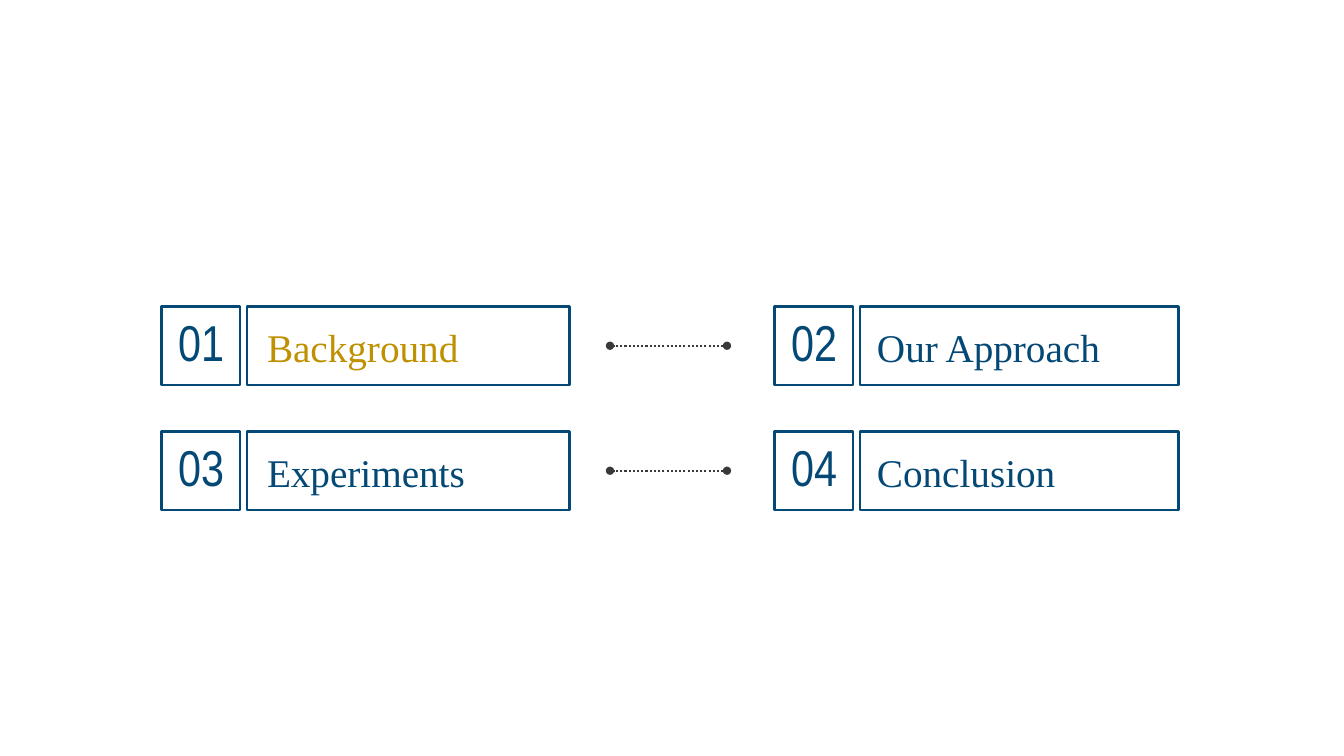
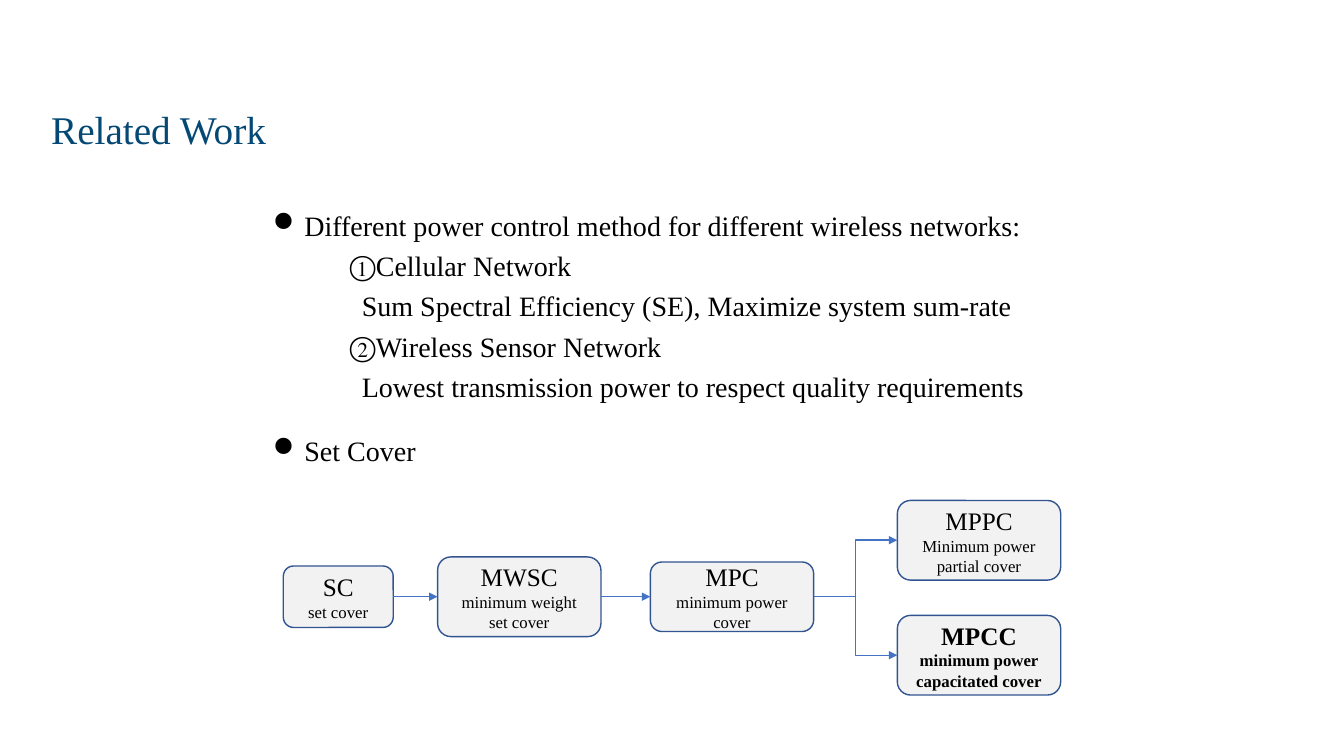
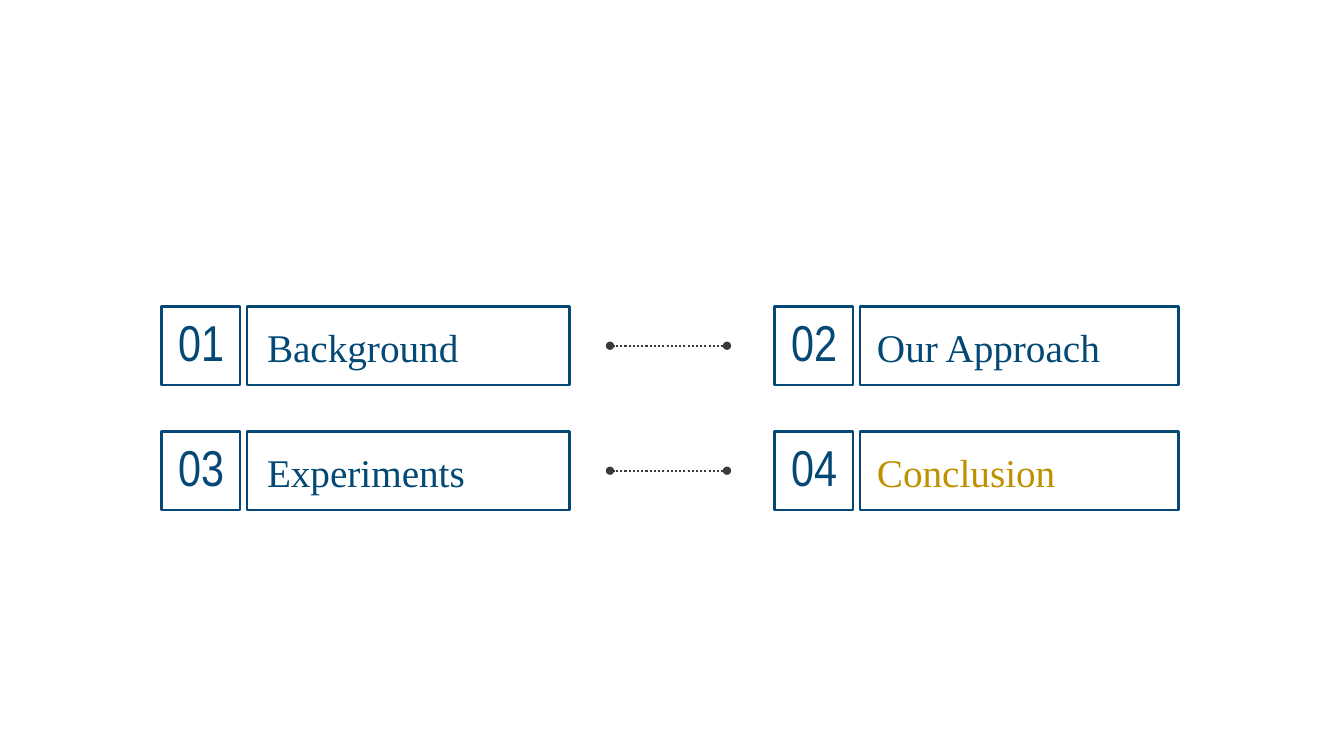
import dataclasses

import pptx
import pptx.dml.color
import pptx.enum.dml
import pptx.enum.shapes
import pptx.enum.text
import pptx.oxml.ns
import pptx.util
from lxml import etree

EMU_PER_PX = 9144  # 100 px to the inch
SLIDE_SIZE = (1333, 750)


@dataclasses.dataclass(frozen=True)
class Theme:
    navy: str = "044875"
    gold: str = "BF9000"
    charcoal: str = "3B3838"
    black: str = "000000"
    node_fill: str = "F2F2F2"
    node_line: str = "325491"
    arrow: str = "4472C4"
    serif: str = "Times New Roman"
    narrow: str = "Arial Narrow"
    number_size: int = 36
    title_size: int = 28
    body_size: int = 20
    node_size: int = 18
    detail_size: int = 12


THEME = Theme()

# Agenda: reading order, two to a row
SECTIONS = ["Background", "Our Approach", "Experiments", "Conclusion"]
AGENDA_ROWS = [304, 428]
# badge left, frame left, frame width, label left, label width
AGENDA_COLUMNS = [(160, 245, 320, 255, 311), (768, 853, 316, 860, 303)]
AGENDA_BOX = 78
DOTTED_LINE = (721, 605)

# Related work: (kind, text) per paragraph
RELATED_TITLE = "Related Work"
NETWORKS = [
    ("bullet", "Different power control method for different wireless networks:"),
    ("number", "Cellular Network"),
    ("detail", "Sum Spectral Efficiency (SE), Maximize system sum-rate"),
    ("number", "Wireless Sensor Network"),
    ("detail", "Lowest transmission power to respect quality requirements"),
]
SET_COVER = [("bullet", "Set Cover")]
# kind: left margin, first-line indent, level
INDENTS = {"bullet": (31, -31, 0), "number": (38, 38, 0), "detail": (88, 0, 1)}

# Problem family: name -> (detail, left, middle, width, height, bold)
PROBLEMS = {
    "SC": ("set cover", 281, 592, 109, 61, False),
    "MWSC": ("minimum weight set cover", 434, 592, 162, 79, False),
    "MPC": ("minimum power cover", 645, 592, 162, 69, False),
    "MPPC": ("Minimum power partial cover", 890, 536, 162, 79, False),
    "MPCC": ("minimum power capacitated cover", 890, 650, 162, 79, True),
}
GENERALISATIONS = [("SC", "MWSC"), ("MWSC", "MPC"), ("MPC", "MPPC"), ("MPC", "MPCC")]
LEFT_SITE, RIGHT_SITE = 1, 3


def px(length):
    return pptx.util.Emu(round(length * EMU_PER_PX))


def rgb(colour):
    return pptx.dml.color.RGBColor.from_string(colour)


def add_child(parent, tag, **attributes):
    return etree.SubElement(parent, pptx.oxml.ns.qn(tag), attributes)


def style(paragraph, size, colour, face=THEME.serif, bold=False, align=None):
    font = paragraph.font
    font.name, font.size, font.bold = face, pptx.util.Pt(size), bold
    font.color.rgb = rgb(colour)
    if align is not None:
        paragraph.alignment = align


def add_text_box(slide, left, top, width, height):
    box = slide.shapes.add_textbox(px(left), px(top), px(width), px(height))
    box.text_frame.word_wrap = True
    box.text_frame.auto_size = pptx.enum.text.MSO_AUTO_SIZE.SHAPE_TO_FIT_TEXT
    return box.text_frame


def add_line_of_text(slide, text, left, top, width, height, size, colour, **options):
    paragraph = add_text_box(slide, left, top, width, height).paragraphs[0]
    paragraph.text = text
    style(paragraph, size, colour, **options)


def add_box(slide, preset, left, top, width, height, line, weight, fill=None):
    box = slide.shapes.add_shape(preset, px(left), px(top), px(width), px(height))
    box.shadow.inherit = False
    box.line.color.rgb = rgb(line)
    box.line.width = pptx.util.Pt(weight)
    if fill:
        box.fill.solid()
        box.fill.fore_color.rgb = rgb(fill)
    else:
        box.fill.background()
    return box


def add_line(slide, kind, start, end, colour, weight, dash=None, head=None, tail=None):
    line = slide.shapes.add_connector(kind, *map(px, start + end))
    line.line.color.rgb = rgb(colour)
    line.line.width = pptx.util.Pt(weight)
    if dash:
        line.line.dash_style = dash
    outline = line.line._get_or_add_ln()
    for tag, arrowhead in (("a:headEnd", head), ("a:tailEnd", tail)):
        if arrowhead:
            add_child(outline, tag, type=arrowhead)
    add_child(line._element.spPr, "a:effectLst")
    return line


def add_agenda(slide, current):
    rectangle = pptx.enum.shapes.MSO_SHAPE.RECTANGLE
    for index, section in enumerate(SECTIONS):
        row, column = divmod(index, len(AGENDA_COLUMNS))
        top = AGENDA_ROWS[row]
        badge, frame, frame_width, label, label_width = AGENDA_COLUMNS[column]
        add_line_of_text(slide, section, label, top + 12, label_width, 57, THEME.title_size,
                         THEME.gold if section == current else THEME.navy)
        for left, width in ((frame, frame_width), (badge, AGENDA_BOX)):
            add_box(slide, rectangle, left, top, width, AGENDA_BOX, THEME.navy, 2)
        add_line_of_text(slide, f"{index + 1:02}", badge - 11, top, 101, 71,
                         THEME.number_size, THEME.navy, face=THEME.narrow,
                         align=pptx.enum.text.PP_ALIGN.CENTER)
    # Dotted links between the columns
    start, end = DOTTED_LINE
    for top in AGENDA_ROWS:
        middle = top + AGENDA_BOX // 2
        add_line(slide, pptx.enum.shapes.MSO_CONNECTOR.STRAIGHT, (start, middle), (end, middle),
                 THEME.charcoal, 1.5, pptx.enum.dml.MSO_LINE.ROUND_DOT, "oval", "oval")


def add_outline(slide, items, left, top, width, height):
    frame = add_text_box(slide, left, top, width, height)
    number = 0
    for index, (kind, text) in enumerate(items):
        paragraph = frame.add_paragraph() if index else frame.paragraphs[0]
        paragraph.text = text
        margin, indent, paragraph.level = INDENTS[kind]
        paragraph.line_spacing = 1.2
        properties = paragraph._p.get_or_add_pPr()
        properties.set("marL", str(px(margin)))
        properties.set("indent", str(px(indent)))
        if kind == "bullet":
            add_child(properties, "a:buFont", typeface="Wingdings")
            add_child(properties, "a:buChar", char="l")
        elif kind == "number":
            number += 1
            add_child(properties, "a:buAutoNum", type="circleNumDbPlain", startAt=str(number))
        else:
            add_child(properties, "a:buNone")
        style(paragraph, THEME.body_size, THEME.black, align=pptx.enum.text.PP_ALIGN.JUSTIFY)


def add_problem(slide, name, detail, left, middle, width, height, bold):
    node = add_box(slide, pptx.enum.shapes.MSO_SHAPE.ROUNDED_RECTANGLE, left,
                   middle - height / 2, width, height, THEME.node_line, 1, THEME.node_fill)
    frame = node.text_frame
    frame.word_wrap = True
    frame.vertical_anchor = pptx.enum.text.MSO_ANCHOR.MIDDLE
    frame.text = f"{name}\n{detail}"
    for paragraph, size in zip(frame.paragraphs, (THEME.node_size, THEME.detail_size)):
        style(paragraph, size, THEME.black, bold=bold, align=pptx.enum.text.PP_ALIGN.CENTER)
    return node


def add_related_work(slide):
    add_line_of_text(slide, RELATED_TITLE, 41, 100, 311, 57, THEME.title_size, THEME.navy)
    add_outline(slide, NETWORKS, 261, 195, 809, 250)
    add_outline(slide, SET_COVER, 261, 418, 809, 48)
    nodes = {name: add_problem(slide, name, *rest) for name, rest in PROBLEMS.items()}
    connectors = pptx.enum.shapes.MSO_CONNECTOR
    for source, target in GENERALISATIONS:
        _, left, middle, width, _, _ = PROBLEMS[source]
        _, target_left, target_middle, _, _, _ = PROBLEMS[target]
        kind = connectors.STRAIGHT if middle == target_middle else connectors.ELBOW
        arrow = add_line(slide, kind, (left + width, middle), (target_left, target_middle),
                         THEME.arrow, 1, tail="triangle")
        arrow.begin_connect(nodes[source], RIGHT_SITE)
        arrow.end_connect(nodes[target], LEFT_SITE)


def main():
    deck = pptx.Presentation()
    deck.slide_width, deck.slide_height = map(px, SLIDE_SIZE)
    blank = deck.slide_layouts[6]
    add_agenda(deck.slides.add_slide(blank), "Background")
    add_related_work(deck.slides.add_slide(blank))
    add_agenda(deck.slides.add_slide(blank), "Conclusion")
    deck.save("out.pptx")


if __name__ == "__main__":
    main()
